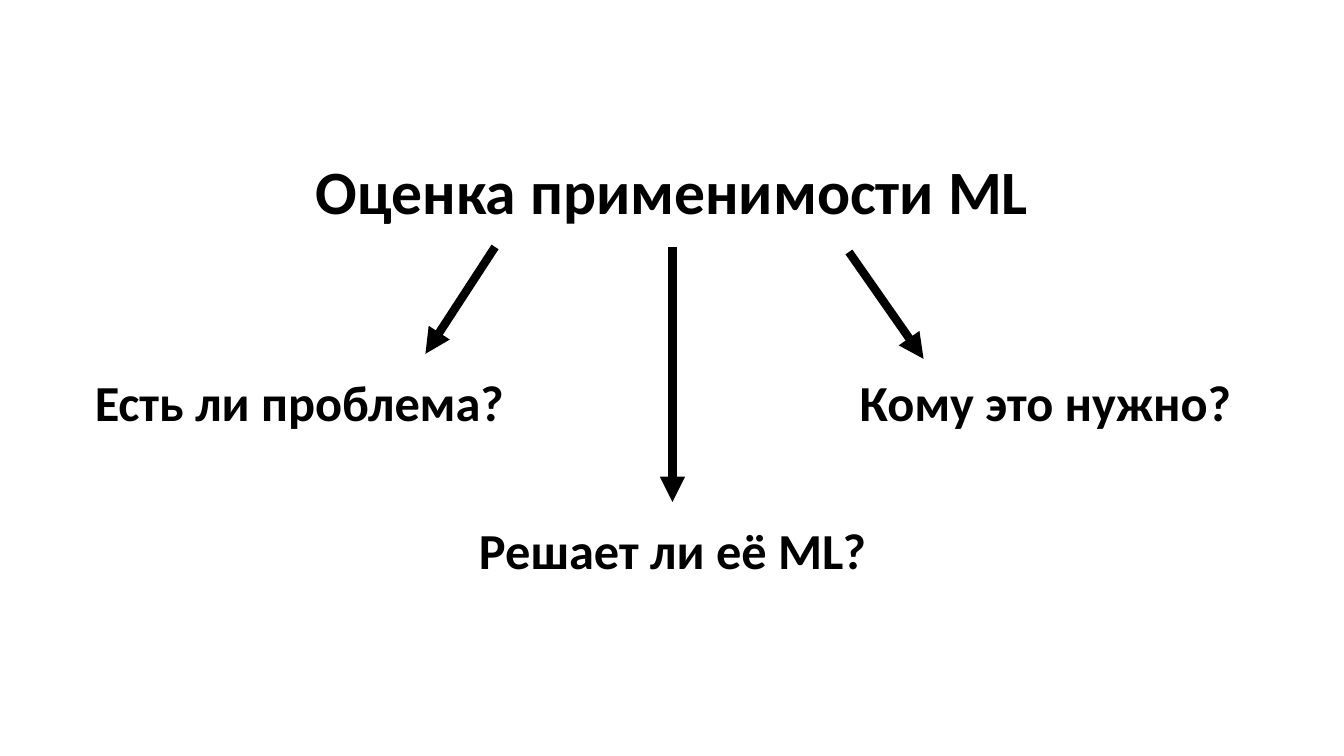
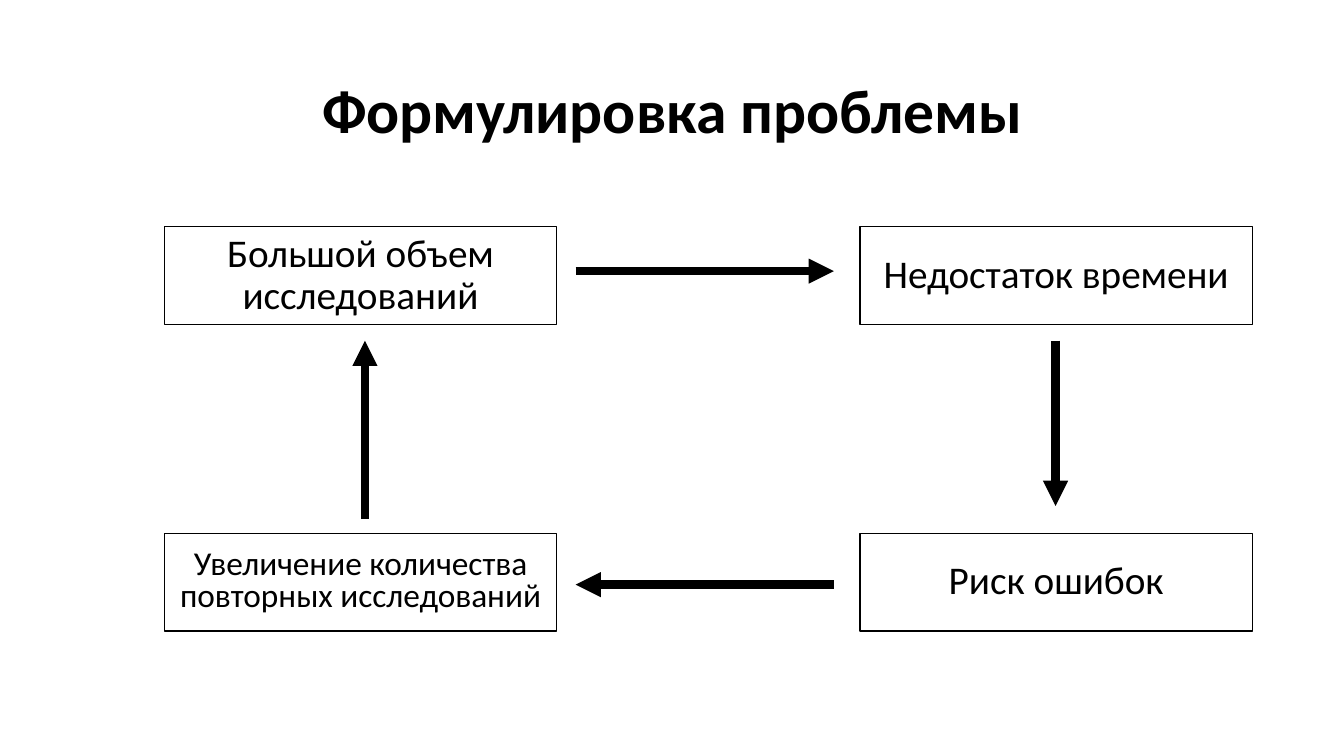
from dataclasses import dataclass

from pptx import Presentation
from pptx.dml.color import RGBColor
from pptx.enum.shapes import MSO_CONNECTOR as Connector, MSO_SHAPE as Shape
from pptx.enum.text import MSO_ANCHOR as Anchor, PP_ALIGN as Align
from pptx.oxml.ns import qn
from pptx.util import Inches, Pt
from lxml.etree import SubElement


@dataclass(frozen=True)
class Theme:
    font: str = "Calibri"
    ink: RGBColor = RGBColor(0, 0, 0)
    paper: RGBColor = RGBColor(255, 255, 255)
    title_size: float = 44
    question_size: float = 36
    step_size: float = 28
    small_step_size: float = 23.8
    outline: float = 1
    arrow_width: float = 6
    line_spacing: float = 0.9
    tight_spacing: float = 0.8
    space_before: float = 10


THEME = Theme()


def write(frame, text, size, bold=False, before=THEME.space_before,
          spacing=THEME.line_spacing, anchor=Anchor.MIDDLE):
    frame.word_wrap = True
    frame.vertical_anchor = anchor
    paragraph = frame.paragraphs[0]
    paragraph.text = text
    paragraph.alignment = Align.CENTER
    paragraph.line_spacing = spacing
    paragraph.space_before = Pt(before)
    font = paragraph.runs[0].font
    font.name, font.size, font.bold = THEME.font, Pt(size), bold
    font.color.rgb = THEME.ink


def add_title(slide, text, top):
    title = slide.shapes.add_textbox(Inches(0.92), Inches(top), Inches(11.5), Inches(1.45))
    write(title.text_frame, text, THEME.title_size, bold=True, before=0)


def add_arrow(slide, start, end):
    ends = [Inches(value) for value in (*start, *end)]
    arrow = slide.shapes.add_connector(Connector.STRAIGHT, *ends)
    arrow.line.color.rgb = THEME.ink
    arrow.line.width = Pt(THEME.arrow_width)
    SubElement(arrow.line._get_or_add_ln(), qn("a:tailEnd"), type="triangle")
    SubElement(arrow._element.spPr, qn("a:effectLst"))


def add_question(slide, text, center, top, width=5, height=0.81):
    question = slide.shapes.add_textbox(
        Inches(center - width / 2), Inches(top), Inches(width), Inches(height))
    write(question.text_frame, text, THEME.question_size, bold=True, anchor=Anchor.TOP)


def add_step(slide, text, left, top, width, height, **style):
    step = slide.shapes.add_shape(
        Shape.RECTANGLE, Inches(left), Inches(top), Inches(width), Inches(height))
    step.shadow.inherit = False
    step.fill.solid()
    step.fill.fore_color.rgb = THEME.paper
    step.line.color.rgb = THEME.ink
    step.line.width = Pt(THEME.outline)
    write(step.text_frame, text, **style)


def add_question_fan(slide, center, top):
    """Three questions with arrows from the title above, whose foot is at top."""
    reach, side_drop, middle_drop = 3.7, 1.25, 2.72
    add_question(slide, "Есть ли проблема?", center - reach, top + side_drop)
    add_question(slide, "Решает ли её ML?", center, top + middle_drop)
    add_question(slide, "Кому это нужно?", center + reach, top + side_drop)
    add_arrow(slide, (center, top), (center, top + 2.53))
    add_arrow(slide, (center - 1.76, top), (center - 2.45, top + 1.06))
    add_arrow(slide, (center + 1.75, top + 0.05), (center + 2.49, top + 1.11))


def add_problem_cycle(slide, left, top, width, height):
    """Four steps in the corners of the box, joined clockwise by arrows."""
    step_width, step_height = 3.89, 0.97
    right_column = left + width - step_width
    bottom_row = top + height - step_height
    normal = {"size": THEME.step_size}
    small = {"size": THEME.small_step_size, "spacing": THEME.tight_spacing}
    for text, x, y, style in (
        ("Большой объем исследований", left, top, normal),
        ("Недостаток времени", right_column, top, normal),
        ("Риск ошибок", right_column, bottom_row, normal),
        ("Увеличение количества повторных исследований", left, bottom_row, small),
    ):
        add_step(slide, text, x, y, step_width, step_height, **style)

    arrow_left, arrow_right = left + step_width + 0.19, right_column - 0.26
    arrow_top = top + step_height + 0.16
    upper, lower = top + 0.44, bottom_row + 0.51
    left_lane, right_lane = left + 1.99, right_column + 1.94
    add_arrow(slide, (arrow_left, upper), (arrow_right, upper))
    add_arrow(slide, (right_lane, arrow_top), (right_lane, bottom_row - 0.27))
    add_arrow(slide, (arrow_right, lower), (arrow_left, lower))
    add_arrow(slide, (left_lane, bottom_row - 0.14), (left_lane, arrow_top))


def build_applicability(slide):
    add_title(slide, "Оценка применимости ML", top=1.2)
    add_question_fan(slide, center=6.67, top=2.45)


def build_problem(slide):
    add_title(slide, "Формулировка проблемы", top=0.4)
    add_problem_cycle(slide, left=1.63, top=2.25, width=10.79, height=4.01)


def main():
    deck = Presentation()
    deck.slide_width, deck.slide_height = Inches(13.33), Inches(7.5)
    blank = deck.slide_layouts[6]
    for build in (build_applicability, build_problem):
        build(deck.slides.add_slide(blank))
    deck.save("out.pptx")


if __name__ == "__main__":
    main()
